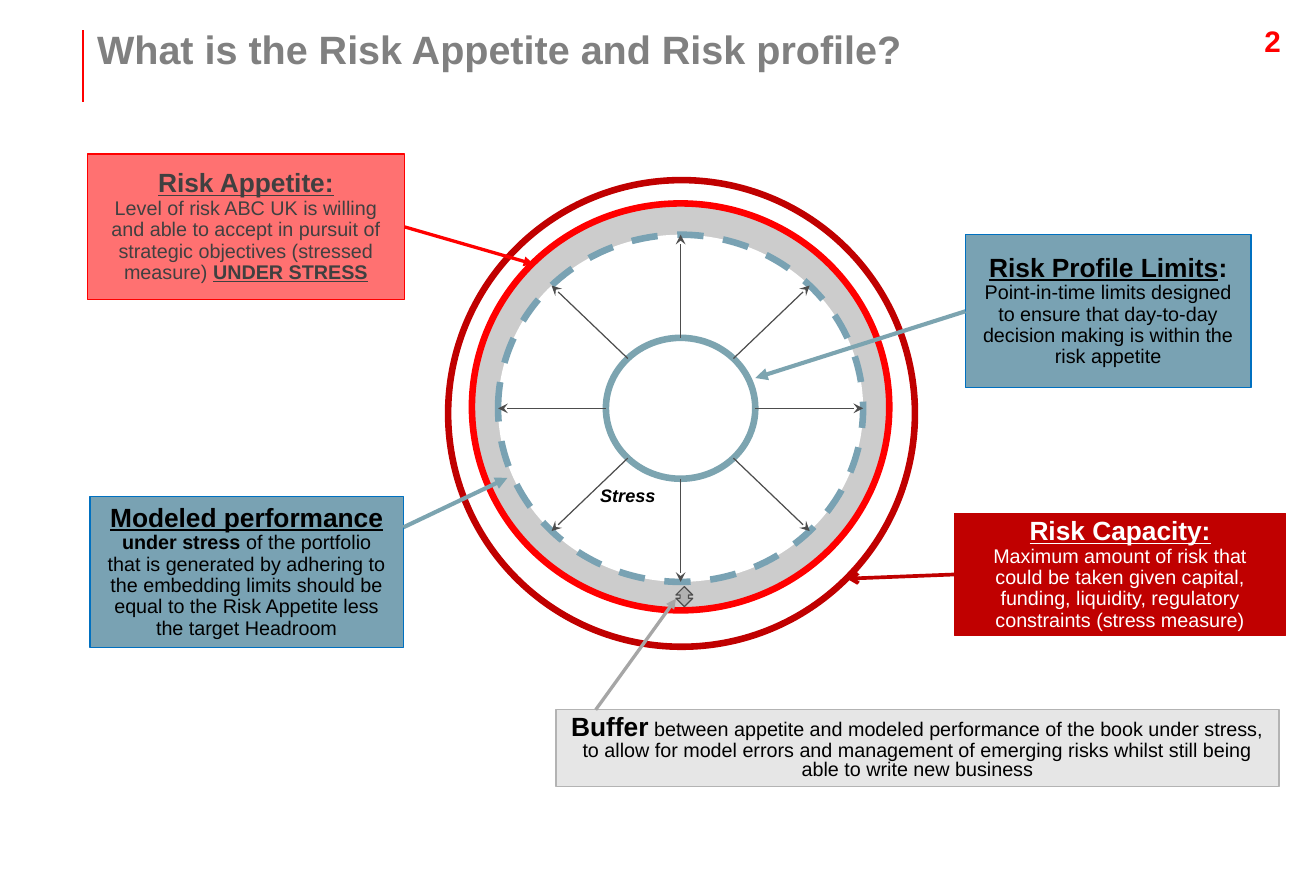
from math import cos, sin, radians
from pptx import Presentation
from pptx.dml.color import RGBColor
from pptx.enum.dml import MSO_LINE
from pptx.enum.shapes import MSO_CONNECTOR, MSO_SHAPE
from pptx.enum.text import MSO_ANCHOR, MSO_AUTO_SIZE, PP_ALIGN
from pptx.oxml.ns import qn
from pptx.util import Cm, Pt
from lxml.etree import SubElement

HEX = {
    "red": "FF0000", "dark": "C00000", "pink": "FF7171", "teal": "79A2B3",
    "mist": "7CA4B0", "blue": "0070C0", "white": "FFFFFF", "black": "000000",
    "coal": "404040", "ink": "4D4D4D", "title": "808080", "band": "CCCCCC",
    "pale": "E6E6E6", "edge": "B3B3B3", "gray": "A6A6A6", "knob": "B2B2B2",
}
TITLE = "What is the Risk Appetite and Risk profile?"

# Circles, outermost first: centre x, centre y, radius x, radius y, fill, line, dashed
RINGS = [
    (14.6, 8.86, 5, 5, "white", "dark", False),
    (14.58, 8.72, 4.47, 4.36, "band", "red", False),
    (14.58, 8.75, 3.91, 3.72, "white", "teal", True),
    (14.58, 8.75, 1.6, 1.51, "white", "mist", False),
]
# Boxes: place, fill, line, text colour, line spacing,
# paragraphs of runs (text, size, style: b bold, u underlined)
BOXES = {
    "appetite": ((1.88, 3.3, 6.78, 3.12), "pink", "red", "coal", 0.9, [
        [("Risk Appetite:", 16, "bu")],
        [("Level of risk ABC UK is willing and able to accept in pursuit of "
          "strategic objectives (stressed measure) ", 12, ""),
         ("UNDER STRESS", 12, "bu")]]),
    "model": ((1.93, 10.64, 6.71, 3.23), "teal", "blue", "black", 0.9, [
        [("Modeled performance", 16, "bu"), (" ", 12, "bu"),
         ("under stress ", 12, "b"),
         ("of the portfolio that is generated by adhering to the embedding "
          "limits should be equal to the Risk Appetite less the target "
          "Headroom", 12, "")]]),
    "limits": ((20.68, 5.03, 6.12, 3.28), "teal", "blue", "black", 0.9, [
        [("Risk Profile Limits", 16, "bu"), (":", 16, "b")],
        [("Point-in-time limits designed to ensure that day-to-day decision "
          "making is within the risk appetite", 12, "")]]),
    "capacity": ((20.45, 11, 7.09, 2.62), "dark", "dark", "white", 0.9, [
        [("Risk Capacity:", 16, "bu")],
        [("Maximum amount of risk that could be taken given capital, funding, "
          "liquidity, regulatory constraints (stress measure)", 12, "")]]),
    "buffer": ((11.91, 15.21, 15.49, 1.65), "pale", "edge", "black", 0.8, [
        [("Buffer", 16, "b"),
         (" between appetite and modeled performance of the book under "
          "stress, to allow for model errors and management of emerging risks "
          "whilst still being able to write new business", 12, "")]]),
}
# Pointers: from, to, colour, width, arrowhead, box and side joined
LINKS = [
    ((8.66, 4.86), (11.43, 5.66), "red", 2, "triangle", ("appetite", 3)),
    ((8.64, 11.3), (10.87, 10.24), "mist", 2.5, "triangle", None),
    ((20.68, 6.67), (16.18, 8.1), "mist", 2.5, "triangle", ("limits", 1)),
    ((12.76, 15.21), (14.48, 12.83), "gray", 2, "triangle", None),
    ((20.45, 12.31), (18.14, 12.4), "dark", 2.25, "arrow", ("capacity", 1)),
]


def color(name):
    return RGBColor.from_string(HEX[name])


def style(run, size, tint, marks):
    font = run.font
    font.name, font.size, font.color.rgb = "Arial", Pt(size), color(tint)
    font.bold, font.underline, font.italic = ("b" in marks, "u" in marks,
                                              "i" in marks)


def add_form(kind, place, fill, line, width):
    form = slide.shapes.add_shape(kind, *map(Cm, place))
    form.shadow.inherit = False
    form.fill.solid()
    form.fill.fore_color.rgb = color(fill)
    form.line.color.rgb = color(line)
    form.line.width = Pt(width)
    return form


def add_line(start, end, tint, width, head=None):
    line = slide.shapes.add_connector(MSO_CONNECTOR.STRAIGHT,
                                      *map(Cm, start + end))
    line.line.color.rgb = color(tint)
    line.line.width = Pt(width)
    props = line.element.spPr
    if head:
        SubElement(props.find(qn("a:ln")), qn("a:tailEnd"), type=head)
    SubElement(props, qn("a:effectLst"))
    return line


def add_label(text, place, align, size, tint, marks):
    frame = slide.shapes.add_textbox(*map(Cm, place)).text_frame
    frame.text = text
    para = frame.paragraphs[0]
    para.alignment = align
    style(para.runs[0], size, tint, marks)
    return frame


deck = Presentation()
deck.slide_width, deck.slide_height = Cm(28.19), Cm(19.05)
slide = deck.slides.add_slide(deck.slide_layouts[5])

# Title, rule and page number
head = slide.shapes.title
head.left, head.top, head.width, head.height = map(Cm, (2.08, 0.53, 24.97, 1.02))
frame = head.text_frame
frame.text = TITLE
frame.auto_size = MSO_AUTO_SIZE.NONE
frame.vertical_anchor = MSO_ANCHOR.TOP
frame.margin_left = frame.margin_right = frame.margin_top = frame.margin_bottom = 0
frame.paragraphs[0].alignment = PP_ALIGN.LEFT
style(frame.paragraphs[0].runs[0], 24, "title", "b")
add_line((1.78, 2.18), (1.78, 0.64), "red", 1.5)
add_label("2", (25, 0.36, 2.69, 1.27), PP_ALIGN.RIGHT, 18, "red", "b")

# Circles
for x, y, rx, ry, fill, line, dashed in RINGS:
    ring = add_form(MSO_SHAPE.OVAL, (x - rx, y - ry, 2 * rx, 2 * ry),
                    fill, line, 4)
    if dashed:
        ring.line.dash_style = MSO_LINE.DASH

# Stress arrows from the core to the dashed circle
outer, core = RINGS[2], RINGS[3]
for turn in range(0, 360, 45):
    ends = [(x + rx * cos(radians(turn)), y + ry * sin(radians(turn)))
            for x, y, rx, ry, *_ in (core, outer)]
    add_line(*ends, "ink", 0.75, "stealth")
add_label("Stress", (12.6, 10.26, 1.7, 0.64), PP_ALIGN.CENTER,
          11, "black", "bi").word_wrap = False
add_form(MSO_SHAPE.UP_DOWN_ARROW, (14.48, 12.57, 0.36, 0.43), "knob", "ink", 0.75)

# Boxes
made = {}
for name, (place, fill, line, tint, gap, paras) in BOXES.items():
    made[name] = add_form(MSO_SHAPE.RECTANGLE, place, fill, line, 0.75)
    frame = made[name].text_frame
    frame.word_wrap = True
    frame.vertical_anchor = MSO_ANCHOR.MIDDLE
    frame.margin_left = frame.margin_right = Cm(0.3)
    frame.margin_top = frame.margin_bottom = Cm(0.1)
    for i, runs in enumerate(paras):
        para = frame.add_paragraph() if i else frame.paragraphs[0]
        para.alignment, para.line_spacing = PP_ALIGN.CENTER, gap
        for text, size, marks in runs:
            run = para.add_run()
            run.text = text
            style(run, size, tint, marks)

# Pointers from the boxes
for start, end, tint, width, tip, join in LINKS:
    link = add_line(start, end, tint, width, tip)
    if join:
        link.begin_connect(made[join[0]], join[1])

deck.save("out.pptx")
